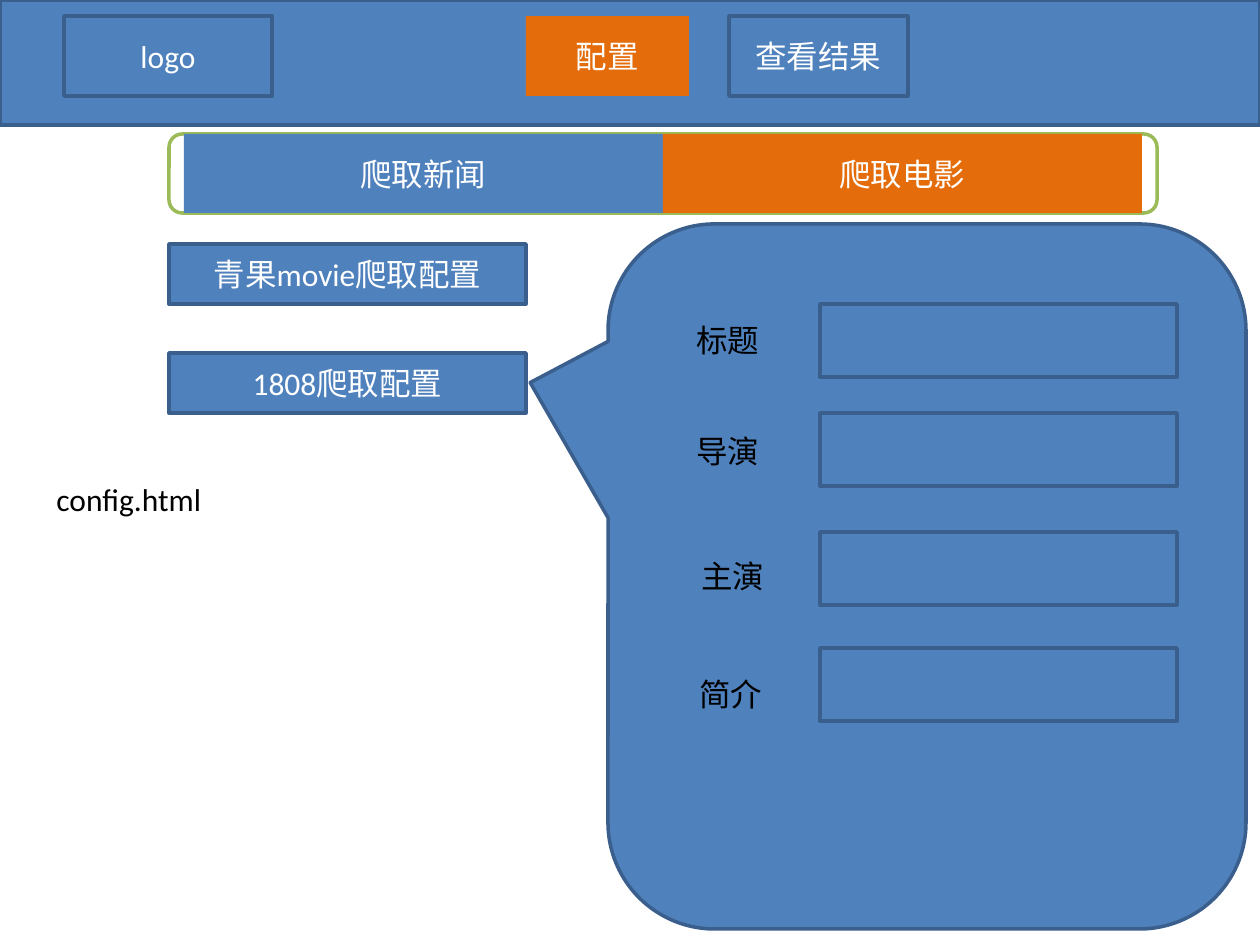
from dataclasses import dataclass

from pptx import Presentation
from pptx.dml.color import RGBColor
from pptx.enum.shapes import MSO_SHAPE
from pptx.enum.text import MSO_ANCHOR, MSO_AUTO_SIZE, PP_ALIGN
from pptx.util import Emu, Pt

EMU_PER_PX = 914400 / 126


@dataclass(frozen=True)
class Theme:
    """Colours, font and sizes used on the slide."""
    blue: str = "4F81BD"
    edge: str = "3A5F8C"
    orange: str = "E46C0A"
    green: str = "9BBB59"
    light: str = "FFFFFF"
    dark: str = "000000"
    font: str = "Calibri"
    size: int = 18
    line: int = 2


THEME = Theme()


def px(*lengths):
    """Turn pixel lengths into EMU."""
    return [Emu(round(n * EMU_PER_PX)) for n in lengths]


def write(frame, text, color, align):
    """Put one styled line of text in a frame."""
    paragraph = frame.paragraphs[0]
    paragraph.alignment = align
    run = paragraph.add_run()
    run.text = text
    run.font.name = THEME.font
    run.font.size = Pt(THEME.size)
    run.font.color.rgb = RGBColor.from_string(color)


def add_box(slide, box, text="", fill=THEME.blue, line=THEME.edge,
            kind=MSO_SHAPE.RECTANGLE):
    """Add a preset shape; None for fill or line leaves it off."""
    shape = slide.shapes.add_shape(kind, *px(*box))
    shape.shadow.inherit = False
    if fill:
        shape.fill.solid()
        shape.fill.fore_color.rgb = RGBColor.from_string(fill)
    else:
        shape.fill.background()
    if line:
        shape.line.color.rgb = RGBColor.from_string(line)
        shape.line.width = Pt(THEME.line)
    else:
        shape.line.fill.background()
    if text:
        shape.text_frame.vertical_anchor = MSO_ANCHOR.MIDDLE
        write(shape.text_frame, text, THEME.light, PP_ALIGN.CENTER)
    return shape


def add_label(slide, box, text):
    """Add a dark, unwrapped line of text."""
    frame = slide.shapes.add_textbox(*px(*box)).text_frame
    frame.word_wrap = False
    frame.auto_size = MSO_AUTO_SIZE.SHAPE_TO_FIT_TEXT
    write(frame, text, THEME.dark, PP_ALIGN.LEFT)


def add_header(slide, box):
    """Add the top bar with its logo slot and navigation buttons."""
    left, top, _, _ = box
    add_box(slide, box)
    buttons = [
        (64, 208, "logo", THEME.blue, THEME.edge),
        (526, 163, "配置", THEME.orange, None),
        (729, 179, "查看结果", THEME.blue, THEME.edge),
    ]
    for x, width, text, fill, line in buttons:
        add_box(slide, (left + x, top + 16, width, 80), text, fill, line)


def add_tabs(slide, box):
    """Add the rounded frame holding two equal tabs."""
    left, top, width, height = box
    add_box(slide, box, fill=None, line=THEME.green,
            kind=MSO_SHAPE.ROUNDED_RECTANGLE)
    inset = 15
    tab = (width - 2 * inset) / 2
    tabs = [("爬取新闻", THEME.blue), ("爬取电影", THEME.orange)]
    for i, (text, fill) in enumerate(tabs):
        add_box(slide, (left + inset + i * tab, top, tab, height),
                text, fill, None)


def add_sources(slide, box):
    """Add the stacked source buttons, spread over the box height."""
    left, top, width, height = box
    button = 60
    for i, text in enumerate(["青果movie爬取配置", "1808爬取配置"]):
        add_box(slide, (left, top + i * (height - button), width, button), text)


def add_form(slide, box):
    """Add the callout with its labelled input fields."""
    left, top, _, _ = box
    callout = add_box(slide, box, kind=MSO_SHAPE.ROUNDED_RECTANGULAR_CALLOUT)
    for i, value in enumerate((-0.622, -0.275, 0.167)):
        callout.adjustments[i] = value
    rows = [
        ("标题", 76, 91, 80),
        ("导演", 76, 202, 189),
        ("主演", 81, 327, 308),
        ("简介", 79, 445, 424),
    ]
    for text, label_x, label_y, field_y in rows:
        add_box(slide, (left + 212, top + field_y, 357, 73))
        add_label(slide, (left + label_x, top + label_y, 89, 50), text)


def build():
    """Build the configuration page mock-up and save it."""
    deck = Presentation()
    deck.slide_width, deck.slide_height = px(1260, 945)
    slide = deck.slides.add_slide(deck.slide_layouts[6])
    add_header(slide, (0, 0, 1260, 125))
    add_sources(slide, (169, 244, 357, 169))
    add_form(slide, (608, 224, 638, 705))
    add_tabs(slide, (169, 134, 988, 79))
    add_label(slide, (44, 474, 171, 50), "config.html")
    deck.save("out.pptx")


build()
